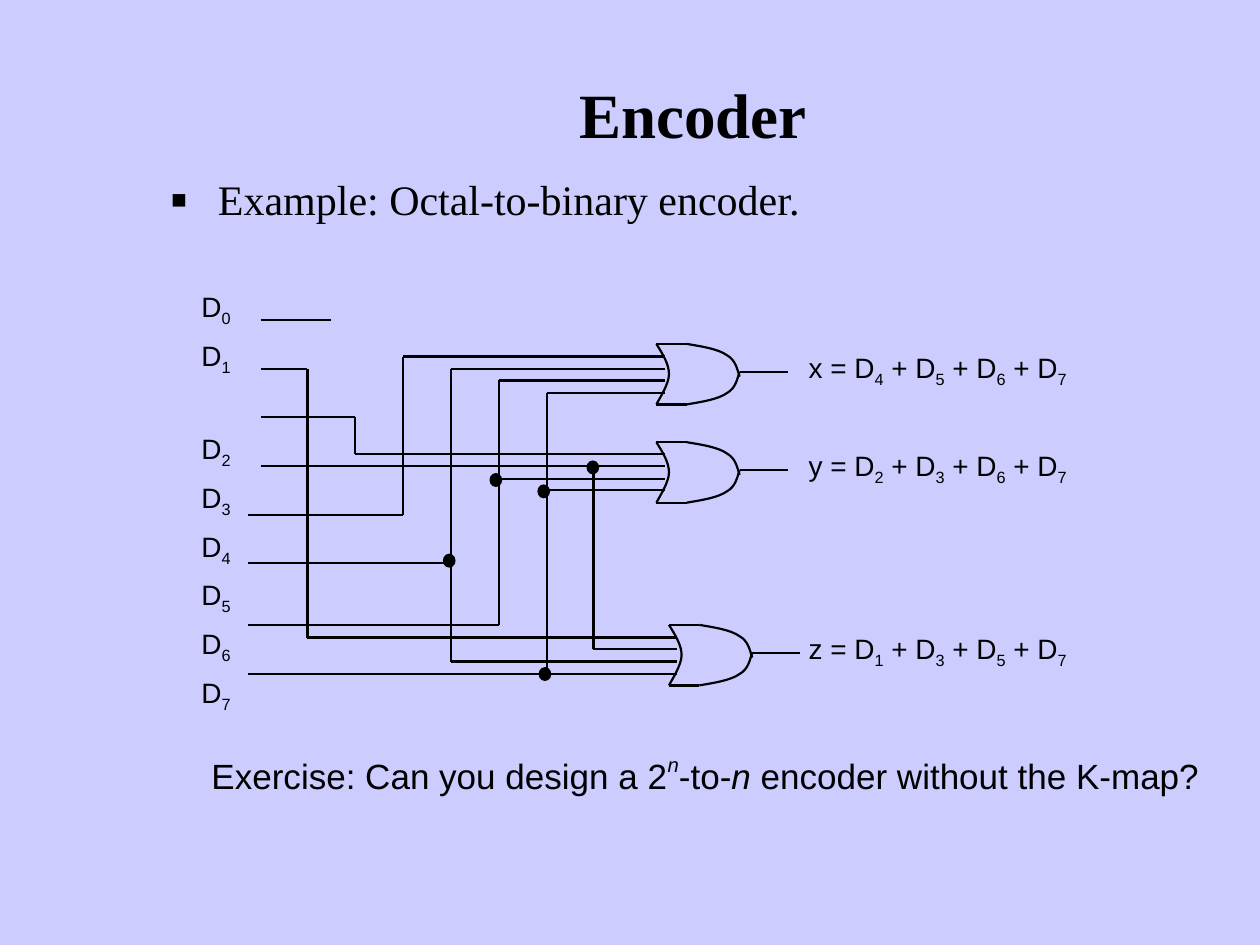
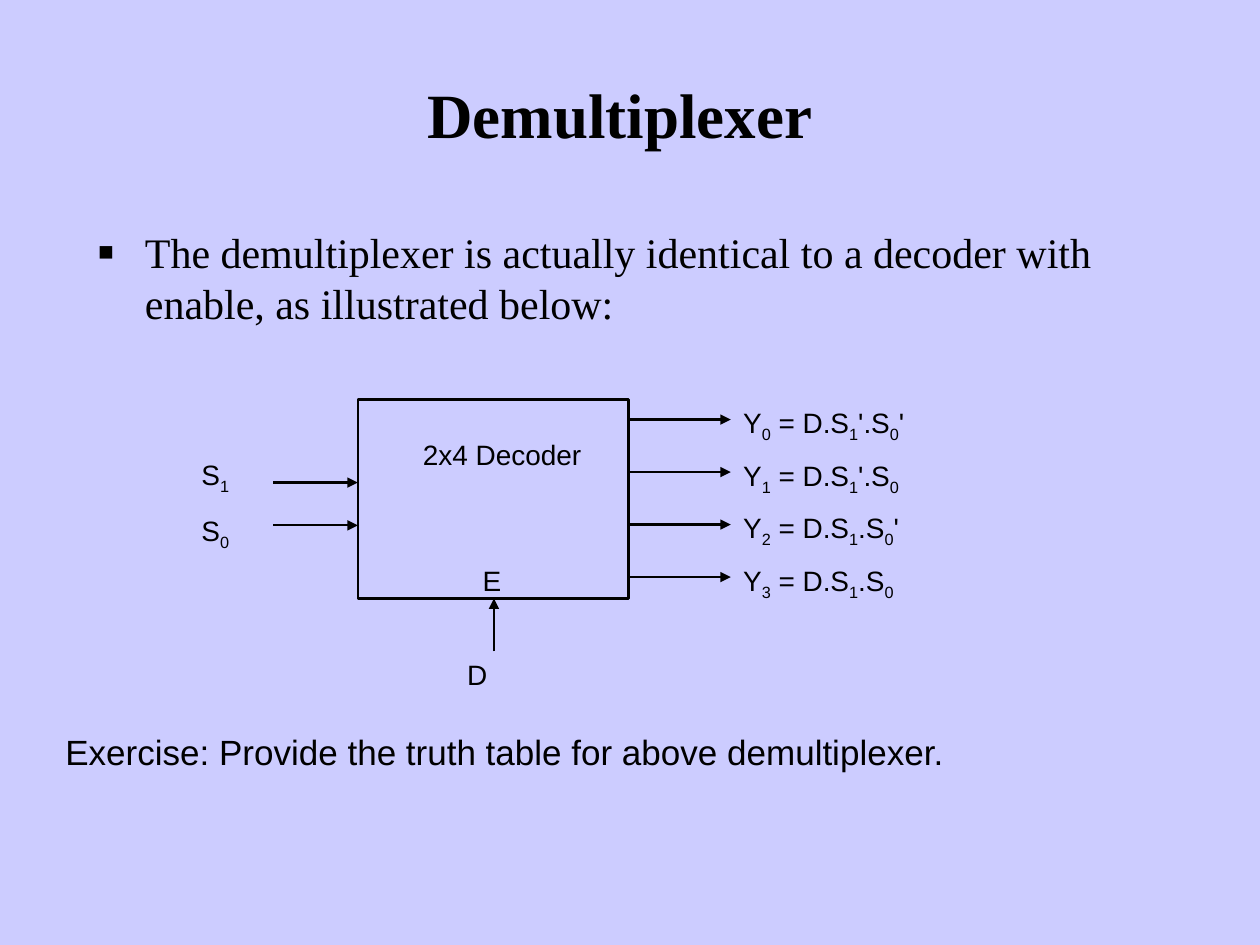
from itertools import pairwise

from lxml import etree
from pptx import Presentation
from pptx.dml.color import RGBColor
from pptx.enum.shapes import MSO_CONNECTOR, MSO_SHAPE
from pptx.enum.text import MSO_ANCHOR, MSO_AUTO_SIZE, PP_ALIGN
from pptx.oxml.ns import qn
from pptx.util import Inches, Pt

STRAIGHT = MSO_CONNECTOR.STRAIGHT
RECTANGLE, OVAL = MSO_SHAPE.RECTANGLE, MSO_SHAPE.OVAL
TOP, BOTTOM = MSO_ANCHOR.TOP, MSO_ANCHOR.BOTTOM
NO_FIT = MSO_AUTO_SIZE.NONE
LEFT, CENTER = PP_ALIGN.LEFT, PP_ALIGN.CENTER

BACKGROUND, INK = "CCCCFF", "000000"
SERIF, SANS = "Times New Roman", "Arial"
WIRE = 1.25

# A mark formats the one character after it: (baseline, italic)
MARKS = {"_": ("-25000", False), "^": ("50000", True), "*": (None, True)}


def rgb(value):
    return RGBColor.from_string(value)


def split_marks(text):
    """Yield (text, baseline, italic) for each run of marked text."""
    plain, chars = "", iter(text)
    for char in chars:
        if char not in MARKS:
            plain += char
            continue
        if plain:
            yield plain, None, False
        plain = ""
        yield next(chars), *MARKS[char]
    if plain:
        yield plain, None, False


def write(p, text, size=16, font=SANS, bold=False, align=LEFT, before=0):
    p.alignment = align
    p.space_before = Pt(before)
    for part, baseline, italic in split_marks(text):
        r = p.add_run()
        r.text = part
        r.font.size, r.font.name = Pt(size), font
        r.font.bold, r.font.italic = bold, italic
        r.font.color.rgb = rgb(INK)
        if baseline:
            r.font._element.set("baseline", baseline)


class Deck:
    def __init__(self):
        self.prs = Presentation()
        self.prs.slide_width, self.prs.slide_height = Inches(10), Inches(7.5)
        fill = self.prs.slide_master.background.fill
        fill.solid()
        fill.fore_color.rgb = rgb(BACKGROUND)

    def new_slide(self):
        self.s = self.prs.slides.add_slide(self.prs.slide_layouts[1])

    def place(self, sp, left, top, width, height, anchor=TOP):
        sp.left, sp.top = Inches(left), Inches(top)
        sp.width, sp.height = Inches(width), Inches(height)
        tf = sp.text_frame
        tf.word_wrap, tf.auto_size, tf.vertical_anchor = True, NO_FIT, anchor
        return tf.paragraphs[0]

    def title(self, text, left):
        p = self.place(self.s.shapes.title, left, 0, 8.5, 1.25, BOTTOM)
        write(p, text, size=36, font=SERIF, bold=True, align=CENTER)

    def bullet(self, text, *box):
        p = self.place(self.s.placeholders[1], *box)
        pPr = p._p.get_or_add_pPr()
        pPr.set("marL", str(Inches(0.38)))
        pPr.set("indent", str(-Inches(0.38)))
        color = etree.SubElement(pPr, qn("a:buClr"))
        etree.SubElement(color, qn("a:srgbClr"), val=INK)
        etree.SubElement(pPr, qn("a:buSzPct"), val="120000")
        etree.SubElement(pPr, qn("a:buFont"), typeface=SERIF)
        etree.SubElement(pPr, qn("a:buChar"), char="▪")
        write(p, text, size=24, font=SERIF)

    def label(self, text, left, top, width, height=0.41, **style):
        sp = self.s.shapes.add_textbox(0, 0, 0, 0)
        write(self.place(sp, left, top, width, height), text, **style)
        return sp.text_frame

    def stack(self, labels, gaps, *box):
        """Labels one below the other, with the gap in points before each."""
        tf = self.label(labels[0], *box)
        for text, gap in zip(labels[1:], gaps):
            write(tf.add_paragraph(), text, before=gap)

    def wire(self, *points, arrow=False):
        for (x1, y1), (x2, y2) in pairwise(points):
            line = self.s.shapes.add_connector(
                STRAIGHT, Inches(x1), Inches(y1), Inches(x2), Inches(y2))
            line.line.color.rgb = rgb(INK)
            line.line.width = Pt(WIRE)
            if arrow:
                etree.SubElement(line.line._get_or_add_ln(), qn("a:tailEnd"), type="triangle")
            etree.SubElement(line._element.spPr, qn("a:effectLst"))

    def outline(self, sp, width, fill=None):
        sp.shadow.inherit = False
        if fill:
            sp.fill.solid()
            sp.fill.fore_color.rgb = rgb(fill)
        else:
            sp.fill.background()
        sp.line.color.rgb = rgb(INK)
        sp.line.width = Pt(width)

    def shape(self, kind, left, top, width, height, line, fill=None):
        sp = self.s.shapes.add_shape(
            kind, Inches(left), Inches(top), Inches(width), Inches(height))
        self.outline(sp, line, fill)

    def curve(self, points):
        """Joined cubic curves: a start, then three control points for each."""
        start, *controls = [(Inches(x), Inches(y)) for x, y in points]
        builder = self.s.shapes.build_freeform(*start)
        builder.add_line_segments(controls, close=False)
        sp = builder.convert_to_shape()
        segments = list(sp._element.iter(qn("a:lnTo")))
        for i in range(0, len(segments), 3):
            cubic = etree.Element(qn("a:cubicBezTo"))
            segments[i].addprevious(cubic)
            for segment in segments[i:i + 3]:
                cubic.append(segment[0])
                segment.getparent().remove(segment)
        self.outline(sp, WIRE)

    def or_gate(self, left, top):
        height, flat = 0.48, 0.24
        back = [(0, 0), (0.05, 0.08), (0.1, 0.16), (0.1, 0.24),
                (0.1, 0.32), (0.02, 0.44), (0, height)]
        nose = [(flat, 0), (0.36, 0.02), (0.49, 0.04), (0.56, 0.09),
                (0.63, 0.13), (0.64, 0.2), (0.66, 0.26)]
        mirrored = [(x, height - y) for x, y in nose]
        for points in (back, nose, mirrored):
            self.curve([(left + x, top + y) for x, y in points])
        for y in (top, top + height):
            self.wire((left, y), (left + flat, y))


def encoder_slide(deck):
    deck.new_slide()
    deck.title("Encoder", 1.25)
    deck.bullet("Example: Octal-to-binary encoder.", 1.25, 1.33, 8.5, 0.67)
    deck.label("Exercise: Can you design a 2^n-to-*n encoder without the K-map?",
               1.58, 5.92, 8.17, 0.46, size=20)

    # Inputs, with a wider gap before D2
    deck.stack([f"D_{i}" for i in range(8)], [6, 31.5] + [6] * 5, 1.5, 2.25, 0.54, 3.46)

    # Wires from D0 to D7, each followed by its branches
    wires = [
        [(2.07, 2.54), (2.63, 2.54)],
        [(2.07, 2.93), (2.44, 2.93), (2.44, 5.06), (5.37, 5.06)],
        [(2.07, 3.31), (2.82, 3.31), (2.82, 3.6), (5.28, 3.6)],
        [(2.07, 3.7), (5.28, 3.7)],
        [(4.71, 3.7), (4.71, 5.15), (5.37, 5.15)],
        [(1.97, 4.09), (3.2, 4.09), (3.2, 2.83), (5.28, 2.83)],
        [(1.97, 4.47), (3.58, 4.47)],
        [(5.28, 2.93), (3.58, 2.93), (3.58, 5.25), (5.37, 5.25)],
        [(1.97, 4.96), (3.96, 4.96), (3.96, 3.02), (5.28, 3.02)],
        [(3.96, 3.8), (5.28, 3.8)],
        [(1.97, 5.35), (5.37, 5.35)],
        [(4.34, 5.35), (4.34, 3.12), (5.28, 3.12)],
        [(4.34, 3.89), (5.28, 3.89)],
    ]
    for points in wires:
        deck.wire(*points)

    # Junction dots
    for left, top in [(3.52, 4.4), (3.89, 3.76), (4.27, 3.85), (4.28, 5.3), (4.66, 3.66)]:
        deck.shape(OVAL, left, top, 0.09, 0.1, 0.75, INK)

    # Gates with their outputs
    for name, inputs, left, top in [("x", "4567", 5.21, 2.73),
                                    ("y", "2367", 5.21, 3.51),
                                    ("z", "1357", 5.31, 4.96)]:
        deck.or_gate(left, top)
        deck.wire((left + 0.66, top + 0.22), (left + 1.04, top + 0.22))
        terms = " + ".join(f"D_{i}" for i in inputs)
        deck.label(f"{name} = {terms}", 6.32, top, 2.93)


def demultiplexer_slide(deck):
    deck.new_slide()
    deck.title("Demultiplexer", 0.67)
    deck.bullet("The demultiplexer is actually identical to a decoder with enable, "
                "as illustrated below:", 0.67, 1.75, 8.92, 1.08)
    deck.label("Exercise: Provide the truth table for above demultiplexer.",
               0.42, 5.75, 8.33, 0.58, size=20)

    # Decoder block
    left, top, width, height = 2.84, 3.17, 2.15, 1.58
    right, bottom = left + width, top + height
    deck.shape(RECTANGLE, left, top, width, height, 1.5)
    deck.label("2x4 Decoder", 3.11, 3.42, 1.75, 0.37, align=CENTER)
    deck.label("E", 3.57, 4.42, 0.67, 0.37, align=CENTER)

    # Select and data inputs
    deck.stack(["S_1", "S_0"], [10.5], 1.5, 3.58, 0.81, 0.85)
    for y in (3.83, 4.17):
        deck.wire((2.17, y), (left, y), arrow=True)
    deck.label("D", 3.61, 5.17, 0.67, 0.37)
    deck.wire((3.92, 5.17), (3.92, bottom), arrow=True)

    # Outputs
    products = ["D.S_1'.S_0'", "D.S_1'.S_0", "D.S_1.S_0'", "D.S_1.S_0"]
    pitch = 1.25 / 3
    for i, product in enumerate(products):
        y = 3.33 + i * pitch
        deck.wire((right, y), (5.8, y), arrow=True)
        deck.label(f"Y_{i} = {product}", 5.8, top + i * pitch, 2.95)


def main():
    deck = Deck()
    encoder_slide(deck)
    demultiplexer_slide(deck)
    deck.prs.save("out.pptx")


if __name__ == "__main__":
    main()
